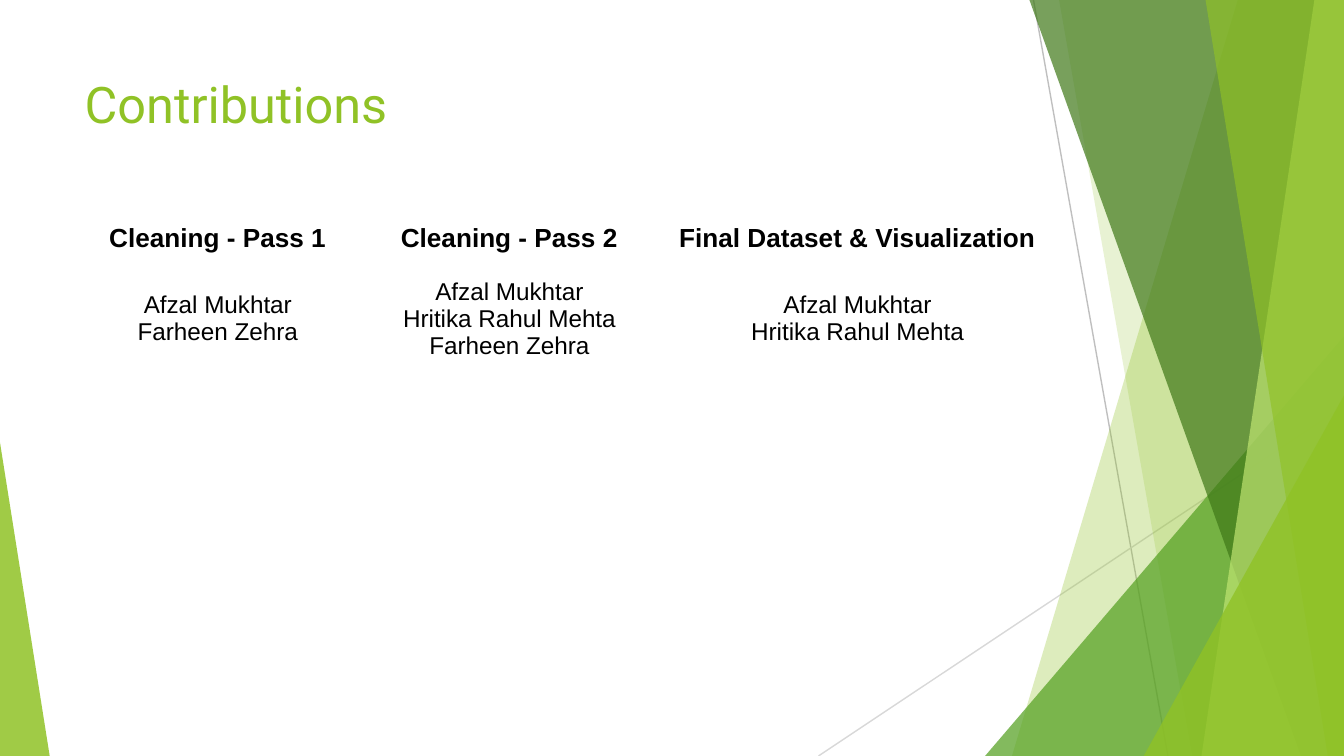
from lxml.etree import SubElement
from pptx import Presentation
from pptx.dml.color import RGBColor as RGB
from pptx.enum.shapes import MSO_CONNECTOR as LINE, MSO_SHAPE as SHAPE
from pptx.enum.text import MSO_ANCHOR as ANCHOR, PP_ALIGN as ALIGN
from pptx.oxml.ns import qn
from pptx.util import Inches, Pt

WIDTH, HEIGHT = Inches(10), Inches(5.625)
COLORS = {
    "lime": "90C226", "green": "54A021", "forest": "3F7818", "pale": "BFE471",
    "gray": "BFBFBF", "silver": "D8D8D8", "black": "000000",
}
COLUMNS = [
    ("Cleaning - Pass 1", "Afzal Mukhtar\nFarheen Zehra", 21.2),
    ("Cleaning - Pass 2", "Afzal Mukhtar\vHritika Rahul Mehta\vFarheen Zehra", 22.2),
    ("Final Dataset & Visualization", "Afzal Mukhtar\vHritika Rahul Mehta", 29.6),
]


def x(share):
    """Turn a percentage of the slide width into a length."""
    return int(WIDTH * share / 100)


def y(share):
    """Turn a percentage of the slide height into a length."""
    return int(HEIGHT * share / 100)


def color(name):
    """Look up a palette colour."""
    return RGB.from_string(COLORS[name])


def paint(sp, name, opacity):
    """Give a shape a translucent fill with no outline or shadow."""
    sp.shadow.inherit = False
    sp.line.fill.background()
    sp.fill.solid()
    sp.fill.fore_color.rgb = color(name)
    clr = sp.fill._xPr.find(qn("a:solidFill"))[0]
    SubElement(clr, qn("a:alpha")).set("val", str(opacity * 1000))


def add_hairline(s, start, end, name):
    """Draw a thin straight line."""
    cx = s.shapes.add_connector(LINE.STRAIGHT, x(start[0]), y(start[1]), x(end[0]), y(end[1]))
    cx.line.color.rgb = color(name)
    cx.line.width = Pt(0.75)
    SubElement(cx._element.spPr, qn("a:effectLst"))


def add_wedge(s, top, bottom, name, opacity):
    """Fill from a slanted left edge to the right side of the slide."""
    ff = s.shapes.build_freeform(x(top), 0, scale=1.0)
    ff.add_line_segments([(WIDTH, 0), (WIDTH, HEIGHT), (x(bottom), HEIGHT)], close=True)
    paint(ff.convert_to_shape(), name, opacity)


def add_corner(s, left, top, width, apex, name, opacity):
    """Stand a right triangle on the bottom edge; apex is 0 left, 1 right."""
    sp = s.shapes.add_shape(SHAPE.ISOSCELES_TRIANGLE, x(left), y(top), x(width), HEIGHT - y(top))
    sp.adjustments[0] = apex
    paint(sp, name, opacity)


def set_font(p, font, size, name, bold=False):
    """Style a whole paragraph."""
    p.font.name, p.font.size, p.font.bold = font, Pt(size), bold
    p.font.color.rgb = color(name)


def add_title(s, text):
    """Add the slide heading."""
    tf = s.shapes.add_textbox(x(5.6), y(8.9), x(70.5), y(19.2)).text_frame
    tf.word_wrap = True
    tf.margin_left = tf.margin_right = Inches(0.07)
    tf.margin_top = tf.margin_bottom = Inches(0.04)
    tf.text = text
    set_font(tf.paragraphs[0], "Roboto", 27, "lime")


def fill_cell(cell, text, size, bold):
    """Write centred text in a clear cell."""
    cell.fill.background()
    cell.vertical_anchor = ANCHOR.MIDDLE
    cell.margin_left = cell.margin_right = Inches(0.07)
    cell.margin_top = cell.margin_bottom = Inches(0.07)
    cell.text = text
    for p in cell.text_frame.paragraphs:
        p.alignment = ALIGN.CENTER
        set_font(p, "Arial", size, "black", bold)


def add_table(s):
    """Add the contributors, one column per stage."""
    frame = s.shapes.add_table(2, len(COLUMNS), x(5.6), y(28.1), x(73), y(21.2))
    table = frame.table
    table.first_row = table.horz_banding = False
    table.rows[0].height, table.rows[1].height = y(7), y(14.2)
    for i, (stage, people, width) in enumerate(COLUMNS):
        table.columns[i].width = x(width)
        fill_cell(table.cell(0, i), stage, 14, True)
        fill_cell(table.cell(1, i), people, 13, False)


def add_backdrop(s):
    """Layer the green facets from back to front."""
    add_hairline(s, (76.9, 0), (86.9, 100), "gray")
    add_hairline(s, (100, 53.7), (60.9, 100), "silver")
    add_wedge(s, 92.1, 75.3, "lime", 30)
    add_wedge(s, 78.8, 88.7, "lime", 20)
    add_corner(s, 73.3, 44.5, 26.7, 1, "green", 72)
    add_wedge(s, 76.6, 96.8, "forest", 70)
    add_wedge(s, 97.8, 89.4, "pale", 70)
    add_wedge(s, 89.7, 98.8, "lime", 65)
    add_corner(s, 85.1, 52.3, 14.9, 1, "lime", 80)
    add_corner(s, 0, 58.5, 3.7, 0, "lime", 85)


def main():
    """Build and save the slide."""
    prs = Presentation()
    prs.slide_width, prs.slide_height = WIDTH, HEIGHT
    s = prs.slides.add_slide(prs.slide_layouts[6])
    add_backdrop(s)
    add_title(s, "Contributions")
    add_table(s)
    prs.save("out.pptx")


main()
